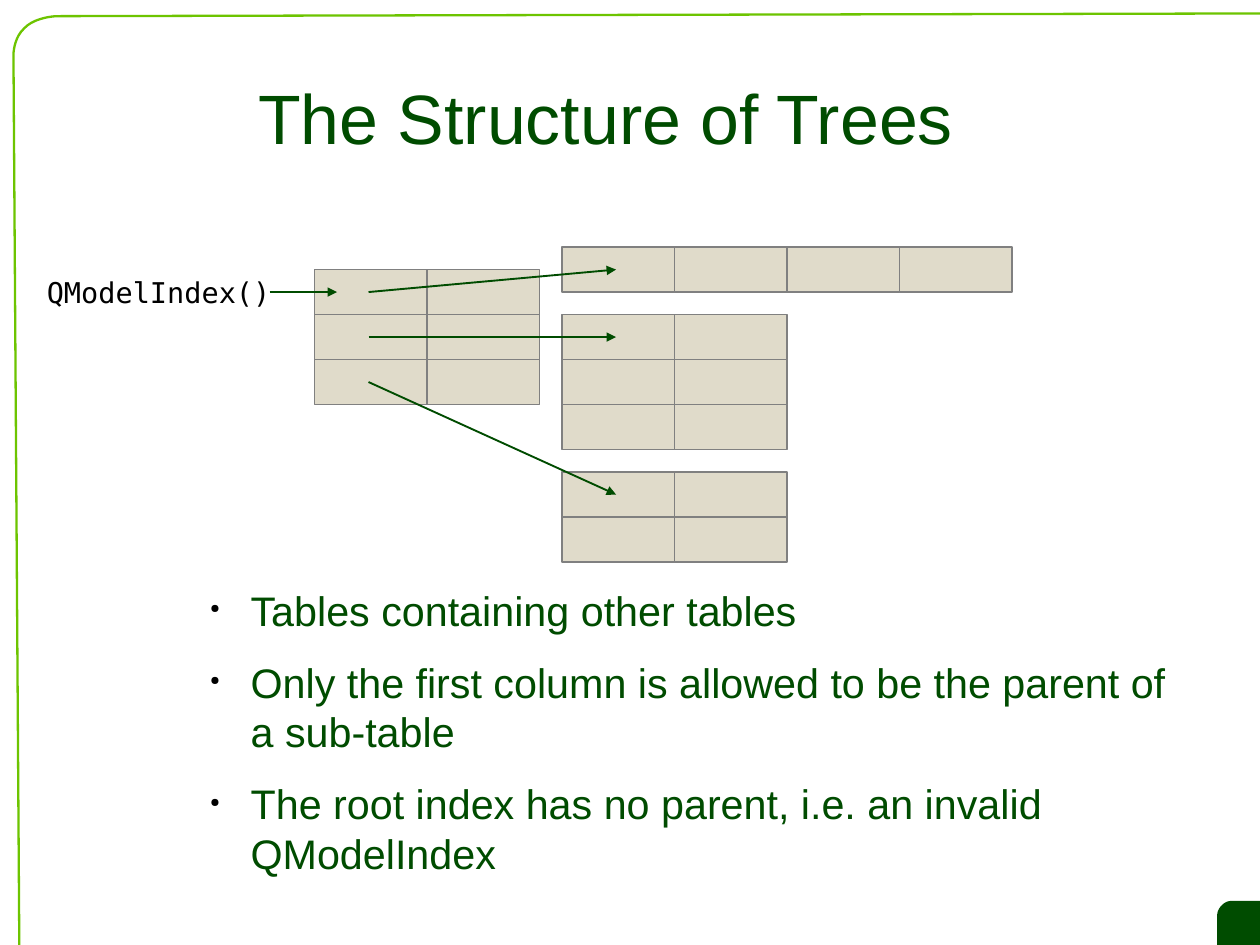
from lxml.etree import SubElement
from pptx import Presentation
from pptx.dml.color import RGBColor
from pptx.enum.shapes import MSO_CONNECTOR, MSO_SHAPE
from pptx.enum.text import MSO_ANCHOR, PP_ALIGN
from pptx.oxml.ns import qn
from pptx.util import Cm, Pt

TITLE = "The Structure of Trees"
ROOT_LABEL = "QModelIndex()"
POINTS = [
    "Tables containing other tables",
    "Only the first column is allowed to be the parent of a sub-table",
    "The root index has no parent, i.e. an invalid QModelIndex",
]

# Lengths in cm; tables are (left, top, columns, rows)
SLIDE_W, SLIDE_H = 28, 21
CELL_W, CELL_H = 2.5, 1
ROOT_TABLE = (6.99, 5.99, 2, 3)
SUB_TABLES = [(12.49, 5.49, 4, 1), (12.49, 6.99, 2, 3), (12.49, 10.49, 2, 2)]
ARROW_INSET = 1.2

# Outlines: a pair is a corner, three pairs are the controls and end of a curve
FRAME = [
    (28, 0.3), (1.27, 0.36),
    ((1.24, 0.36), (0.76, 0.38), (0.53, 0.64)),
    ((0.3, 0.86), (0.3, 1.22), (0.3, 1.22)),
    (0.43, 21),
]
CORNER_TAB = [
    (28, 20.02), (27.43, 20.02),
    ((27.33, 20.02), (27.25, 20.02), (27.15, 20.12)),
    ((27.05, 20.22), (27.05, 20.32), (27.05, 20.35)),
    (27.05, 21), (28, 21),
]
CURVE_STEPS = 10

DARK_GREEN = RGBColor(0x00, 0x4C, 0x00)
LIME = RGBColor(0x6D, 0xC4, 0x00)
BEIGE = RGBColor(0xE0, 0xDB, 0xCA)
GRAY = RGBColor(0x80, 0x80, 0x80)
BLACK = RGBColor(0x00, 0x00, 0x00)


def flatten(outline):
    """Turn the curves of an outline into short straight steps."""
    points = []
    for part in outline:
        if len(part) == 2:
            points.append(part)
            continue
        start = points[-1]
        for step in range(1, CURVE_STEPS + 1):
            t = step / CURVE_STEPS
            u = 1 - t
            points.append(tuple(
                u**3 * a + 3 * u * u * t * b + 3 * u * t * t * c + t**3 * d
                for a, b, c, d in zip(start, *part)))
    return [(Cm(x), Cm(y)) for x, y in points]


def add_outline(slide, outline, closed):
    start, *rest = flatten(outline)
    builder = slide.shapes.build_freeform(*start)
    builder.add_line_segments(rest, close=closed)
    shape = builder.convert_to_shape()
    shape.shadow.inherit = False
    return shape


def add_text(slide, box, lines, font, size, color):
    text_box = slide.shapes.add_textbox(*map(Cm, box))
    frame = text_box.text_frame
    frame.text = "\n".join(lines)
    for paragraph in frame.paragraphs:
        for run in paragraph.runs:
            run.font.name = font
            run.font.size = Pt(size)
            run.font.color.rgb = color
    return frame


def fill_box(frame):
    """Wrap the text across the whole box, without margins."""
    frame.word_wrap = True
    frame.margin_left = frame.margin_right = 0
    frame.margin_top = frame.margin_bottom = 0


def add_bullet(paragraph):
    properties = paragraph._p.get_or_add_pPr()
    properties.set("marL", str(Cm(1.2)))
    properties.set("indent", str(-Cm(0.9)))
    color = SubElement(properties, qn("a:buClr"))
    SubElement(color, qn("a:srgbClr"), val=str(BLACK))
    SubElement(properties, qn("a:buSzPct"), val="30000")
    SubElement(properties, qn("a:buChar"), char="●")


def add_cells(slide, left, top, columns, rows):
    for row in range(rows):
        for column in range(columns):
            cell = slide.shapes.add_shape(
                MSO_SHAPE.RECTANGLE,
                Cm(left + column * CELL_W), Cm(top + row * CELL_H),
                Cm(CELL_W), Cm(CELL_H))
            cell.shadow.inherit = False
            cell.fill.solid()
            cell.fill.fore_color.rgb = BEIGE
            cell.line.color.rgb = GRAY
            cell.line.width = Pt(0)


def add_arrow(slide, start, end):
    arrow = slide.shapes.add_connector(
        MSO_CONNECTOR.STRAIGHT, *map(Cm, start + end))
    arrow.line.color.rgb = DARK_GREEN
    arrow.line.width = Pt(1.2)
    SubElement(arrow.line._get_or_add_ln(), qn("a:tailEnd"), type="triangle")
    SubElement(arrow._element.spPr, qn("a:effectLst"))


def main():
    presentation = Presentation()
    presentation.slide_width = Cm(SLIDE_W)
    presentation.slide_height = Cm(SLIDE_H)
    slide = presentation.slides.add_slide(presentation.slide_layouts[6])

    tab = add_outline(slide, CORNER_TAB, closed=True)
    tab.fill.solid()
    tab.fill.fore_color.rgb = DARK_GREEN
    tab.line.fill.background()
    border = add_outline(slide, FRAME, closed=False)
    border.fill.background()
    border.line.color.rgb = LIME
    border.line.width = Pt(1.45)

    title = add_text(slide, (4.37, 0.97, 18.2, 3.25), [TITLE],
                     "Arial", 44, DARK_GREEN)
    fill_box(title)
    title.vertical_anchor = MSO_ANCHOR.MIDDLE
    title.paragraphs[0].alignment = PP_ALIGN.CENTER

    body = add_text(slide, (4.37, 13, 22.33, 6.3), POINTS,
                    "Arial", 26, DARK_GREEN)
    fill_box(body)
    for paragraph in body.paragraphs:
        paragraph.space_after = Pt(14.2)
        add_bullet(paragraph)

    for table in [ROOT_TABLE, *SUB_TABLES]:
        add_cells(slide, *table)

    root_left, root_top = ROOT_TABLE[:2]
    first_row_y = root_top + CELL_H / 2
    for row, (left, top, *_) in enumerate(SUB_TABLES):
        add_arrow(slide,
                  (root_left + ARROW_INSET, first_row_y + row * CELL_H),
                  (left + ARROW_INSET, top + CELL_H / 2))
    add_arrow(slide, (root_left - 1, first_row_y),
              (root_left + 0.5, first_row_y))

    label = add_text(slide, (0.79, root_top, 5.8, CELL_H), [ROOT_LABEL],
                     "DejaVu Sans Mono", 18, BLACK)
    label.word_wrap = False

    presentation.save("out.pptx")


if __name__ == "__main__":
    main()
